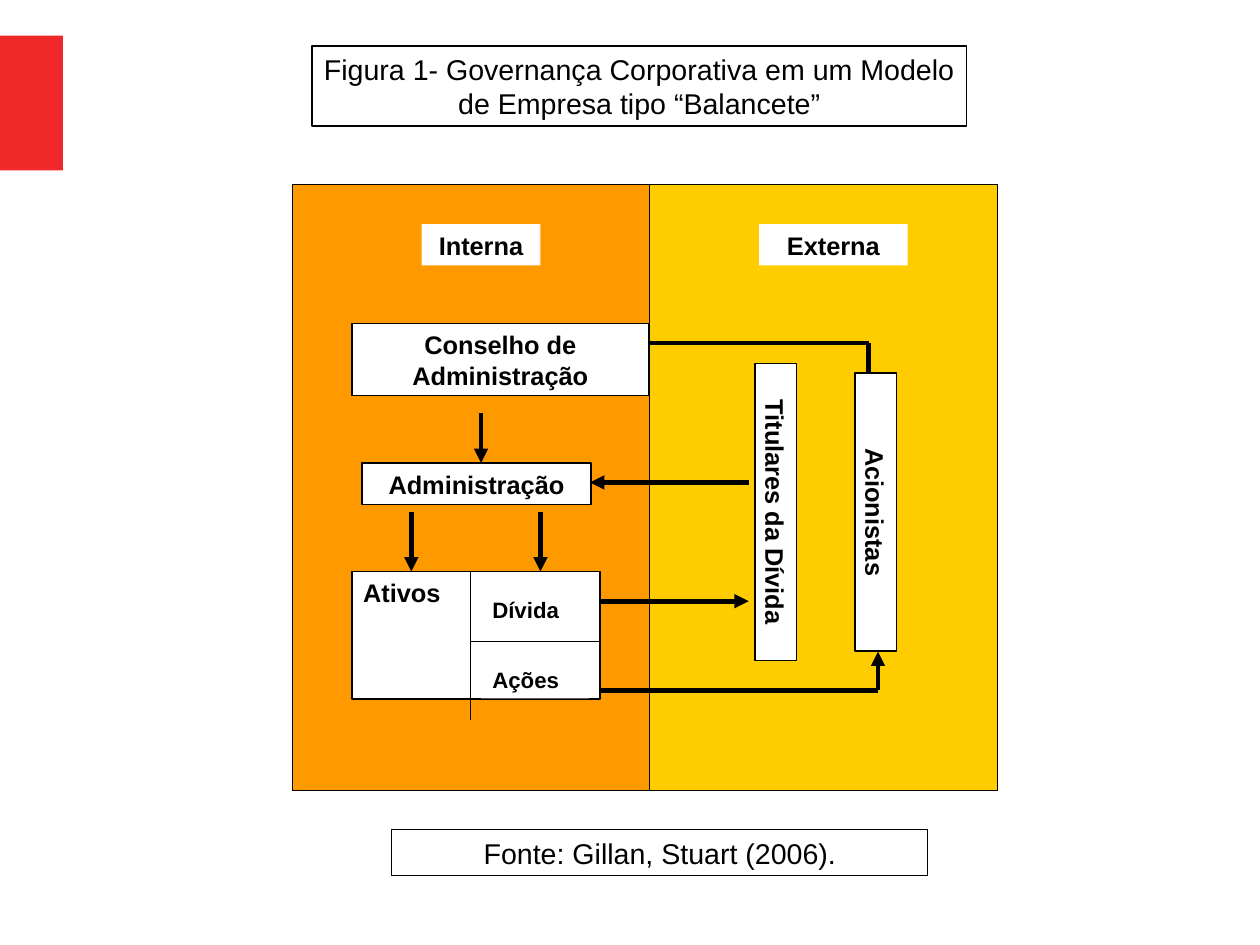
from pptx import Presentation
from pptx.dml.color import RGBColor
from pptx.enum.shapes import MSO_CONNECTOR, MSO_SHAPE
from pptx.enum.text import MSO_ANCHOR, MSO_AUTO_SIZE, PP_ALIGN
from pptx.oxml.ns import qn
from pptx.util import Cm, Pt
from lxml import etree

RECT = MSO_SHAPE.RECTANGLE
LINE = MSO_CONNECTOR.STRAIGHT
TOP = MSO_ANCHOR.TOP
FIXED = MSO_AUTO_SIZE.NONE
LEFT, CENTER = PP_ALIGN.LEFT, PP_ALIGN.CENTER

BLACK = RGBColor(0x00, 0x00, 0x00)
WHITE = RGBColor(0xFF, 0xFF, 0xFF)
RED = RGBColor(0xEF, 0x29, 0x29)
ORANGE = RGBColor(0xFF, 0x99, 0x00)
YELLOW = RGBColor(0xFF, 0xCC, 0x00)


class Figure:
    font = "Arial"

    def __init__(self, slide):
        self.slide = slide

    def edge(self, shape, width):
        if width:
            shape.line.color.rgb = BLACK
            shape.line.width = Pt(width)
        else:
            shape.line.fill.background()

    def letter(self, shape, text, size, bold, align):
        frame = shape.text_frame
        frame.text = text
        frame.word_wrap = True
        frame.auto_size = FIXED
        frame.vertical_anchor = TOP
        frame.margin_left = frame.margin_right = Cm(0.25)
        frame.margin_top = frame.margin_bottom = Cm(0.13)
        para = frame.paragraphs[0]
        para.alignment = align
        para.font.name = self.font
        para.font.size = Pt(size)
        para.font.bold = bold
        para.font.color.rgb = BLACK

    def title(self, text, x, y, w, h):
        shape = self.slide.shapes.title
        shape.left, shape.top, shape.width, shape.height = map(Cm, (x, y, w, h))
        self.edge(shape, 1)
        self.letter(shape, text, 18, False, CENTER)

    def block(self, x, y, w, h, color, width=0):
        shape = self.slide.shapes.add_shape(RECT, *map(Cm, (x, y, w, h)))
        shape.shadow.inherit = False
        if color is None:
            shape.fill.background()
        else:
            shape.fill.solid()
            shape.fill.fore_color.rgb = color
        self.edge(shape, width)
        return shape

    def label(self, text, x, y, w, h, width=0, size=16, bold=True,
              align=CENTER, color=WHITE, turn=0):
        shape = self.block(x, y, w, h, color, width)
        shape.rotation = turn
        self.letter(shape, text, size, bold, align)

    def route(self, *points, width=3, arrow=True):
        for start, end in zip(points, points[1:]):
            line = self.slide.shapes.add_connector(
                LINE, *map(Cm, (*start, *end)))
            self.edge(line, width)
            props = line._element.spPr
            if arrow and end == points[-1]:
                etree.SubElement(props.find(qn("a:ln")),
                                 qn("a:tailEnd"), type="triangle")
            etree.SubElement(props, qn("a:effectLst"))


def main():
    deck = Presentation()
    deck.slide_width, deck.slide_height = Cm(28), Cm(21)
    fig = Figure(deck.slides.add_slide(deck.slide_layouts[5]))

    fig.block(0, 0.79, 1.4, 3, RED)
    fig.title("Figura 1- Governança Corporativa em um Modelo "
              "de Empresa tipo “Balancete”", 6.93, 1.02, 14.55, 1.78)

    fig.block(6.5, 4.11, 7.94, 13.46, ORANGE, 0.75)
    fig.block(14.44, 4.11, 7.73, 13.46, YELLOW, 0.75)
    fig.label("Interna", 9.37, 4.98, 2.64, 0.92)
    fig.label("Externa", 16.87, 4.98, 3.3, 0.92)

    fig.label("Conselho de Administração", 7.82, 7.19, 6.6, 1.6, 1)
    fig.label("Administração", 8.05, 10.29, 5.08, 0.92, 1)
    fig.label("Ativos", 7.82, 12.7, 5.51, 2.84, 1, align=LEFT)
    fig.label("Acionistas", 16.38, 10.92, 6.17, 0.92, 1, turn=90)
    fig.label("Titulares da Dívida", 13.94, 10.92, 6.6, 0.92, 1, turn=90)
    fig.label("Dívida", 10.69, 13.13, 2.21, 0.84, size=14, align=LEFT)
    fig.label("Ações", 10.69, 14.68, 2.41, 0.84, size=14, align=LEFT)

    fig.route((10.46, 12.7), (10.46, 16), width=1, arrow=False)
    fig.route((10.46, 14.25), (13.34, 14.25), width=0.75, arrow=False)

    fig.route((19.3, 8.28), (19.3, 7.62), (14.44, 7.62), arrow=False)
    fig.route((13.34, 15.34), (19.51, 15.34), (19.51, 14.48))
    fig.route((13.34, 13.36), (16.64, 13.36))
    fig.route((16.64, 10.72), (13.11, 10.72))
    fig.route((10.69, 9.17), (10.69, 10.29))
    for x in (9.14, 12.01):
        fig.route((x, 11.38), (x, 12.7))

    fig.label("Fonte: Gillan, Stuart (2006).", 8.71, 18.44, 11.91, 1.02,
              0.75, size=18, bold=False, color=None)
    deck.save("out.pptx")


if __name__ == "__main__":
    main()
